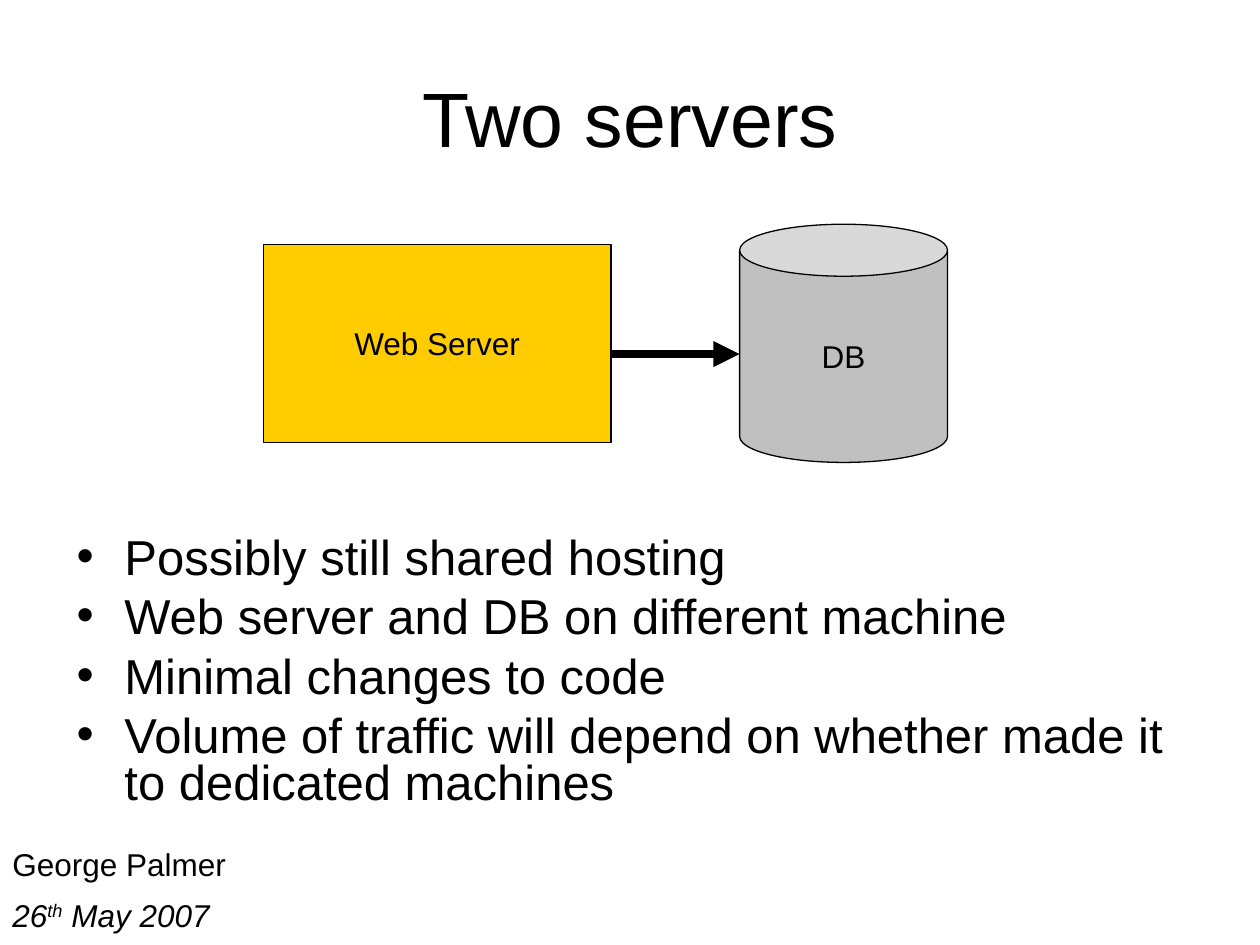
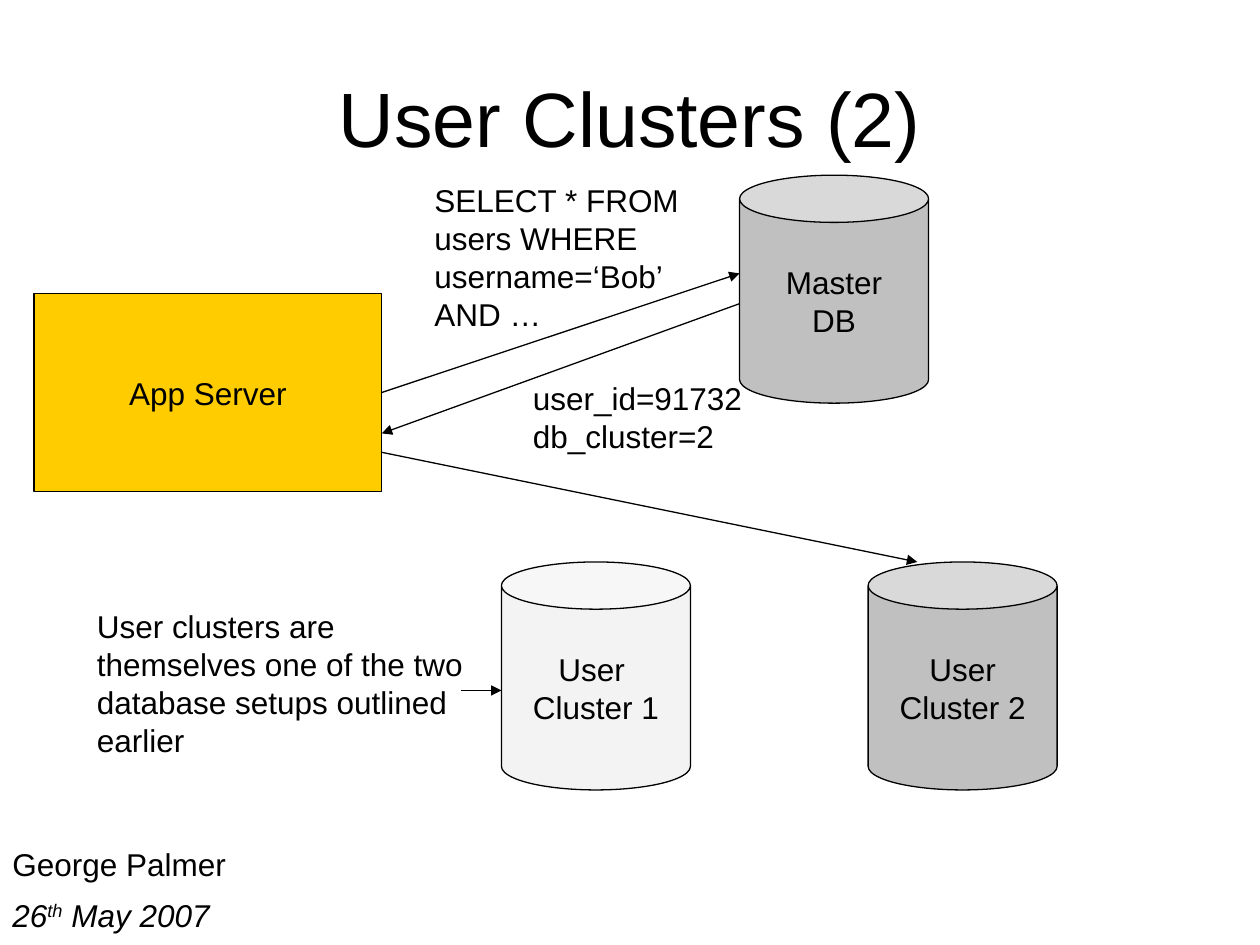
from dataclasses import dataclass
from typing import Optional

from lxml.etree import SubElement
from pptx import Presentation
from pptx.dml.color import RGBColor
from pptx.enum.shapes import MSO_CONNECTOR, MSO_SHAPE
from pptx.enum.text import MSO_ANCHOR, PP_ALIGN
from pptx.oxml.ns import qn
from pptx.shapes.autoshape import Shape
from pptx.slide import Slide
from pptx.text.text import TextFrame
from pptx.util import Inches, Pt

# Shared look
BLACK = RGBColor(0x00, 0x00, 0x00)
WHITE = RGBColor(0xFF, 0xFF, 0xFF)
GOLD = RGBColor(0xFF, 0xCC, 0x00)
GREY = RGBColor(0xC0, 0xC0, 0xC0)
FONT = "Arial"
THIN = 0.75


@dataclass
class Box:
    left: float
    top: float
    width: float
    height: float

    def place(self) -> tuple:
        return tuple(Inches(n) for n in (self.left, self.top, self.width, self.height))


@dataclass
class Node:
    label: str
    box: Box
    kind: MSO_SHAPE = MSO_SHAPE.CAN
    fill: RGBColor = GREY
    alpha: Optional[int] = None  # opacity in percent


@dataclass
class Arrow:
    start: tuple
    end: tuple
    weight: float = THIN
    source: Optional[Shape] = None  # leaves from the middle of its right side


def bullet(para) -> None:
    props = para._p.get_or_add_pPr()
    props.set("marL", str(Inches(0.38)))
    props.set("indent", str(Inches(-0.38)))
    SubElement(props, qn("a:buFont")).set("typeface", FONT)
    SubElement(props, qn("a:buChar")).set("char", "•")


def write(frame: TextFrame, text: str, size: float = 18, align=PP_ALIGN.LEFT,
          anchor=MSO_ANCHOR.TOP, wrap: bool = True, italic: bool = False,
          bullets: bool = False, lines: float = 1, gap: float = 0) -> None:
    """Each line is a paragraph; text between ^ marks is raised."""
    frame.word_wrap = wrap
    frame.vertical_anchor = anchor
    for row, line in enumerate(text.split("\n")):
        para = frame.add_paragraph() if row else frame.paragraphs[0]
        if bullets:
            bullet(para)
        para.alignment = align
        para.line_spacing = lines
        para.space_before = Pt(gap if row else 0)
        for part, piece in enumerate(line.split("^")):
            run = para.add_run()
            run.text = piece
            run.font.name = FONT
            run.font.size = Pt(size)
            run.font.italic = italic
            run.font.color.rgb = BLACK
            if part % 2:
                run._r.get_or_add_rPr().set("baseline", "30000")


def note(slide: Slide, text: str, box: Box, **style) -> None:
    write(slide.shapes.add_textbox(*box.place()).text_frame, text, **style)


def draw(slide: Slide, node: Node) -> Shape:
    shape = slide.shapes.add_shape(node.kind, *node.box.place())
    shape.shadow.inherit = False
    shape.fill.solid()
    shape.fill.fore_color.rgb = node.fill
    if node.alpha is not None:
        color = shape._element.spPr.find(qn("a:solidFill"))[0]
        SubElement(color, qn("a:alpha")).set("val", str(node.alpha * 1000))
    shape.line.color.rgb = BLACK
    shape.line.width = Pt(THIN)
    write(shape.text_frame, node.label, align=PP_ALIGN.CENTER,
          anchor=MSO_ANCHOR.MIDDLE, wrap=False)
    return shape


def link(slide: Slide, arrow: Arrow) -> None:
    ends = [Inches(n) for n in (*arrow.start, *arrow.end)]
    line = slide.shapes.add_connector(MSO_CONNECTOR.STRAIGHT, *ends)
    line.line.color.rgb = BLACK
    line.line.width = Pt(arrow.weight)
    SubElement(line.line._get_or_add_ln(), qn("a:tailEnd")).set("type", "triangle")
    SubElement(line._element.spPr, qn("a:effectLst"))
    if arrow.source is not None:
        line.begin_connect(arrow.source, 3)


def start(deck, title: str) -> Slide:
    """Add a slide with the shared background, footer and title."""
    slide = deck.slides.add_slide(deck.slide_layouts[6])
    slide.background.fill.solid()
    slide.background.fill.fore_color.rgb = WHITE
    note(slide, "George Palmer", Box(0, 6.66, 3.9, 0.4))
    note(slide, "26^th^ May 2007", Box(0, 7.06, 2.4, 0.4), italic=True)
    note(slide, title, Box(0.5, 0.3, 9, 1.25), size=44,
         align=PP_ALIGN.CENTER, anchor=MSO_ANCHOR.MIDDLE)
    return slide


def server(label: str, left: float, top: float) -> Node:
    return Node(label, Box(left, top, 2.76, 1.57), MSO_SHAPE.RECTANGLE, GOLD)


def store(label: str, left: float, top: float, alpha: Optional[int] = None) -> Node:
    return Node(label, Box(left, top, 1.5, 1.81), alpha=alpha)


def pair(deck) -> None:
    slide = start(deck, "Two servers")
    points = ("Possibly still shared hosting",
              "Web server and DB on different machine",
              "Minimal changes to code",
              "Volume of traffic will depend on whether made it to dedicated machines")
    note(slide, "\n".join(points), Box(0.51, 4.22, 9, 2.36),
         size=28, bullets=True, lines=0.8, gap=7)
    draw(slide, Node("DB", Box(5.87, 1.78, 1.65, 1.89)))
    draw(slide, server("Web Server", 2.09, 1.94))
    link(slide, Arrow((4.84, 2.81), (5.87, 2.81), weight=5))


def cluster(deck) -> None:
    slide = start(deck, "User Clusters (2)")
    app = draw(slide, server("App Server", 0.27, 2.33))

    # Databases
    low = 4.46
    for node in (store("Master\nDB", 5.87, 1.39),
                 store("User \nCluster 1", 3.98, low, alpha=19),
                 store("User\nCluster 2", 6.89, low)):
        draw(slide, node)

    # Query, reply, cluster lookup and remark pointer
    side = 3.03
    for arrow in (Arrow((side, 3.12), (5.87, 2.17), source=app),
                  Arrow((5.87, 2.41), (side, 3.44)),
                  Arrow((side, 3.59), (7.28, low)),
                  Arrow((3.66, 5.48), (3.98, 5.48))):
        link(slide, arrow)

    # Labels
    note(slide, "User clusters are themselves one of the two database setups "
         "outlined earlier", Box(0.67, 4.77, 3.31, 1.3))
    note(slide, "SELECT * FROM\nusers WHERE\nusername=‘Bob’\nAND …",
         Box(3.35, 1.39, 2.14, 1.3), wrap=False)
    note(slide, "user_id=91732\ndb_cluster=2", Box(4.13, 2.96, 1.89, 0.7))


def main() -> None:
    deck = Presentation()
    deck.slide_width, deck.slide_height = Inches(10), Inches(7.5)
    pair(deck)
    cluster(deck)
    deck.save("out.pptx")


if __name__ == "__main__":
    main()
